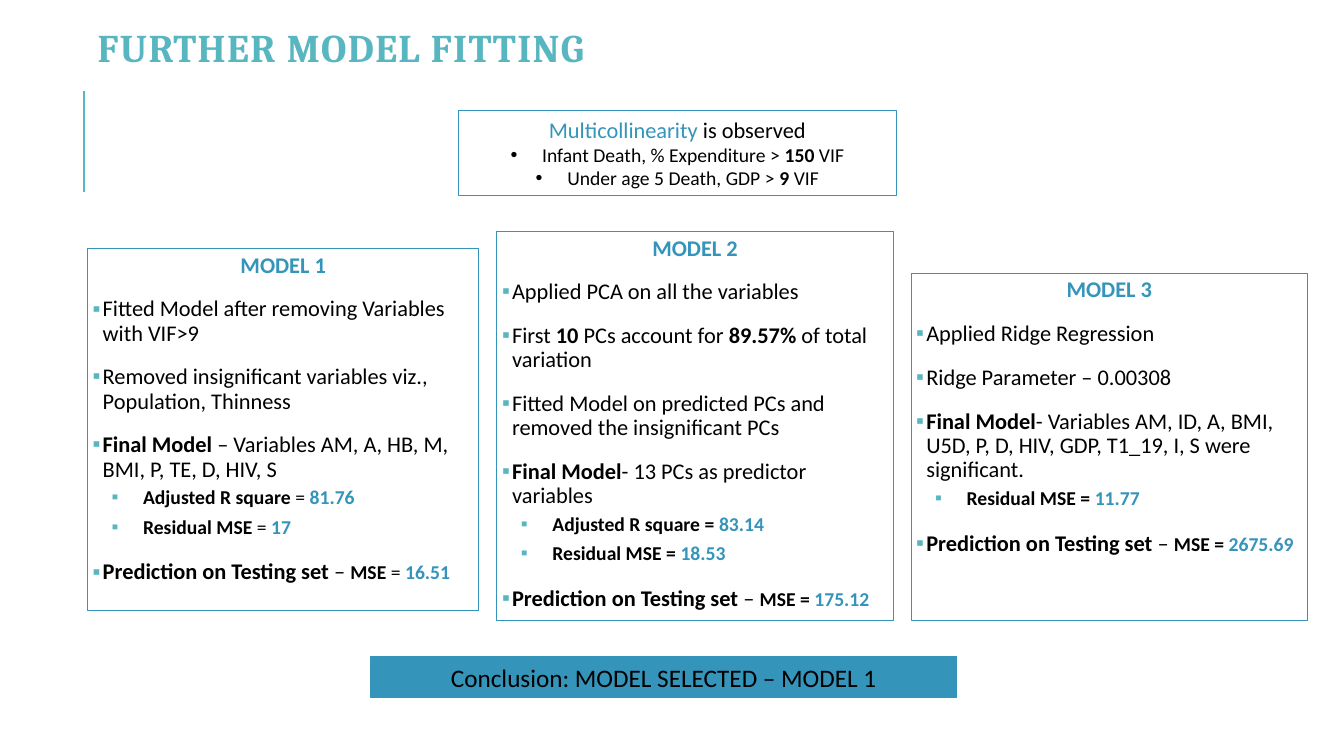
from dataclasses import dataclass

from lxml import etree
from pptx import Presentation
from pptx.dml.color import RGBColor
from pptx.enum.shapes import MSO_CONNECTOR, MSO_SHAPE
from pptx.enum.text import MSO_ANCHOR, MSO_AUTO_SIZE, PP_ALIGN
from pptx.oxml.ns import qn
from pptx.util import Pt

LEFT, CENTER = PP_ALIGN.LEFT, PP_ALIGN.CENTER
TOP, MIDDLE = MSO_ANCHOR.TOP, MSO_ANCHOR.MIDDLE
RECTANGLE, STRAIGHT = MSO_SHAPE.RECTANGLE, MSO_CONNECTOR.STRAIGHT
NO_AUTOFIT = MSO_AUTO_SIZE.NONE

BLUE, TEAL, BLACK = "3494BA", "58B6C0", "000000"


@dataclass(frozen=True)
class Span:
    text: str
    size: float = 16
    bold: bool = False
    color: str = BLACK
    font: str = "Calibri"
    tracking: float = 0


@dataclass(frozen=True)
class ParaStyle:
    align: PP_ALIGN = LEFT
    level: int = 0
    indent: float = 0
    before: float = 0
    after: float = 0
    line_spacing: float = 1
    bullet: str = ""
    bullet_color: str = BLACK


@dataclass(frozen=True)
class Para:
    style: ParaStyle
    spans: tuple[Span, ...]


@dataclass(frozen=True)
class Box:
    left: float
    top: float
    width: float
    height: float
    paras: tuple[Para, ...]
    fill: str = ""
    side_inset: float = 7.2


PLAIN = ParaStyle(align=CENTER)
CALLOUT_ITEM = ParaStyle(align=CENTER, indent=22.5, bullet="•")
HEADING = ParaStyle(align=CENTER, after=2, line_spacing=0.9)
ITEM = ParaStyle(indent=7.2, before=12, after=2, line_spacing=0.9,
                 bullet="▪", bullet_color=TEAL)
SUB_ITEM = ParaStyle(level=1, indent=22.5, before=2, after=4, line_spacing=0.9,
                     bullet="▪", bullet_color=TEAL)
SUB_ITEM_LEFT = 36


def rgb(color: str) -> RGBColor:
    return RGBColor.from_string(color)


def strong(text: str, size: float = 16, color: str = BLACK) -> Span:
    return Span(text, size, True, color)


def heading(text: str) -> Para:
    return Para(HEADING, (strong(text, color=BLUE),))


def item(*spans: Span) -> Para:
    return Para(ITEM, spans)


def measure(label: str, value: str, equals: Span) -> Para:
    return Para(SUB_ITEM, (strong(label, 14), equals, strong(value, 14, BLUE)))


def prediction(value: str, equals: Span) -> Para:
    return item(strong("Prediction on Testing set "), Span("– "), strong("MSE", 14),
                equals, strong(value, 14, BLUE))


def add_bullet(para, style: ParaStyle) -> None:
    properties = para._p.get_or_add_pPr()
    left = SUB_ITEM_LEFT if style.level else style.indent
    properties.set("marL", str(Pt(left)))
    properties.set("indent", str(-Pt(style.indent)))
    bullet_color = etree.SubElement(properties, qn("a:buClr"))
    etree.SubElement(bullet_color, qn("a:srgbClr")).set("val", style.bullet_color)
    etree.SubElement(properties, qn("a:buFont")).set("typeface", "Arial")
    etree.SubElement(properties, qn("a:buChar")).set("char", style.bullet)


def write_paras(frame, paras: tuple[Para, ...], anchor: MSO_ANCHOR = TOP,
                side_inset: float = 7.2) -> None:
    frame.word_wrap = True
    frame.auto_size = NO_AUTOFIT
    frame.vertical_anchor = anchor
    frame.margin_left = frame.margin_right = Pt(side_inset)
    frame.margin_top = frame.margin_bottom = Pt(3.6)
    for number, content in enumerate(paras):
        para = frame.add_paragraph() if number else frame.paragraphs[0]
        style = content.style
        para.alignment = style.align
        para.level = style.level
        para.line_spacing = style.line_spacing
        para.space_before = Pt(style.before)
        para.space_after = Pt(style.after)
        if style.bullet:
            add_bullet(para, style)
        for span in content.spans:
            run = para.add_run()
            run.text = span.text
            run.font.name = span.font
            run.font.size = Pt(span.size)
            run.font.bold = span.bold
            run.font.color.rgb = rgb(span.color)
            if span.tracking:
                run._r.get_or_add_rPr().set("spc", str(round(span.tracking * 100)))


def add_box(page, box: Box) -> None:
    shape = page.shapes.add_shape(RECTANGLE, Pt(box.left), Pt(box.top),
                                  Pt(box.width), Pt(box.height))
    shape.shadow.inherit = False
    if box.fill:
        shape.fill.solid()
        shape.fill.fore_color.rgb = rgb(box.fill)
    else:
        shape.fill.background()
    shape.line.color.rgb = rgb(BLUE)
    shape.line.width = Pt(0.75)
    write_paras(shape.text_frame, box.paras, side_inset=box.side_inset)


def add_title(page, text: str) -> None:
    title = page.shapes.title
    title.left, title.top, title.width, title.height = Pt(62.6), Pt(20.9), Pt(745), Pt(33)
    span = Span(text, 28, True, TEAL, "Cambria", tracking=1)
    write_paras(title.text_frame, (Para(ParaStyle(line_spacing=0.7), (span,)),), MIDDLE)


def add_side_rule(page) -> None:
    rule = page.shapes.add_connector(STRAIGHT, Pt(60), Pt(65), Pt(60), Pt(137))
    rule.line.color.rgb = rgb(TEAL)
    rule.line.width = Pt(1.5)
    etree.SubElement(rule._element.spPr, qn("a:effectLst"))


PLAIN_EQUALS = Span("= ", 14)
PLAIN_MSE_EQUALS = Span(" = ", 14)
BOLD_EQUALS = strong("= ", 14)
BOLD_MSE_EQUALS = strong(" = ", 14)

BOXES = (
    Box(62.6, 177.8, 279.4, 258.2, (
        heading("MODEL 1"),
        item(Span("Fitted Model after removing Variables with VIF>9")),
        item(Span("Removed insignificant variables viz., Population, Thinness")),
        item(strong("Final Model "), Span("– Variables AM, A, HB, M, BMI, P, TE, D, HIV, S")),
        measure("Adjusted R square ", "81.76", PLAIN_EQUALS),
        measure("Residual MSE ", "17", PLAIN_EQUALS),
        prediction("16.51", PLAIN_MSE_EQUALS),
    ), side_inset=3.6),
    Box(355, 165.6, 283, 277.5, (
        heading("MODEL 2"),
        item(Span("Applied PCA on all the variables")),
        item(Span("First "), strong("10"), Span(" PCs account for "), strong("89.57%"),
             Span(" of total variation")),
        item(Span("Fitted Model on predicted PCs and removed the insignificant PCs")),
        item(strong("Final Model"), Span("- 13 PCs as predictor variables")),
        measure("Adjusted R square ", "83.14", BOLD_EQUALS),
        measure("Residual MSE ", "18.53", BOLD_EQUALS),
        prediction("175.12", BOLD_MSE_EQUALS),
    ), side_inset=3.6),
    Box(327.6, 79.2, 312.5, 60.5, (
        Para(PLAIN, (Span("Multicollinearity ", color=BLUE), Span("is observed"))),
        Para(CALLOUT_ITEM, (Span("Infant Death, % Expenditure > ", 14), strong("150 ", 14),
                            Span("VIF", 14))),
        Para(CALLOUT_ITEM, (Span("Under age 5 Death, GDP > ", 14), strong("9", 14),
                            Span(" VIF", 14))),
    )),
    Box(650.9, 195.5, 283, 247.6, (
        heading("MODEL 3"),
        item(Span("Applied Ridge Regression")),
        item(Span("Ridge Parameter – 0.00308")),
        item(strong("Final Model"), Span("- Variables AM, ID, A, BMI, U5D, P, D, HIV, GDP, "
                                         "T1_19, I, S were significant.")),
        measure("Residual MSE ", "11.77", BOLD_EQUALS),
        prediction("2675.69", BOLD_MSE_EQUALS),
    ), side_inset=3.6),
    Box(265, 469.2, 418.3, 29, (
        Para(PLAIN, (Span("Conclusion: MODEL SELECTED – MODEL 1", 18),)),
    ), fill=BLUE),
)


def main() -> None:
    deck = Presentation()
    deck.slide_width, deck.slide_height = Pt(960), Pt(540)
    page = deck.slides.add_slide(deck.slide_layouts.get_by_name("Title Only"))
    add_side_rule(page)
    add_title(page, "FURTHER MODEL FITTING")
    for box in BOXES:
        add_box(page, box)
    deck.save("out.pptx")


if __name__ == "__main__":
    main()
